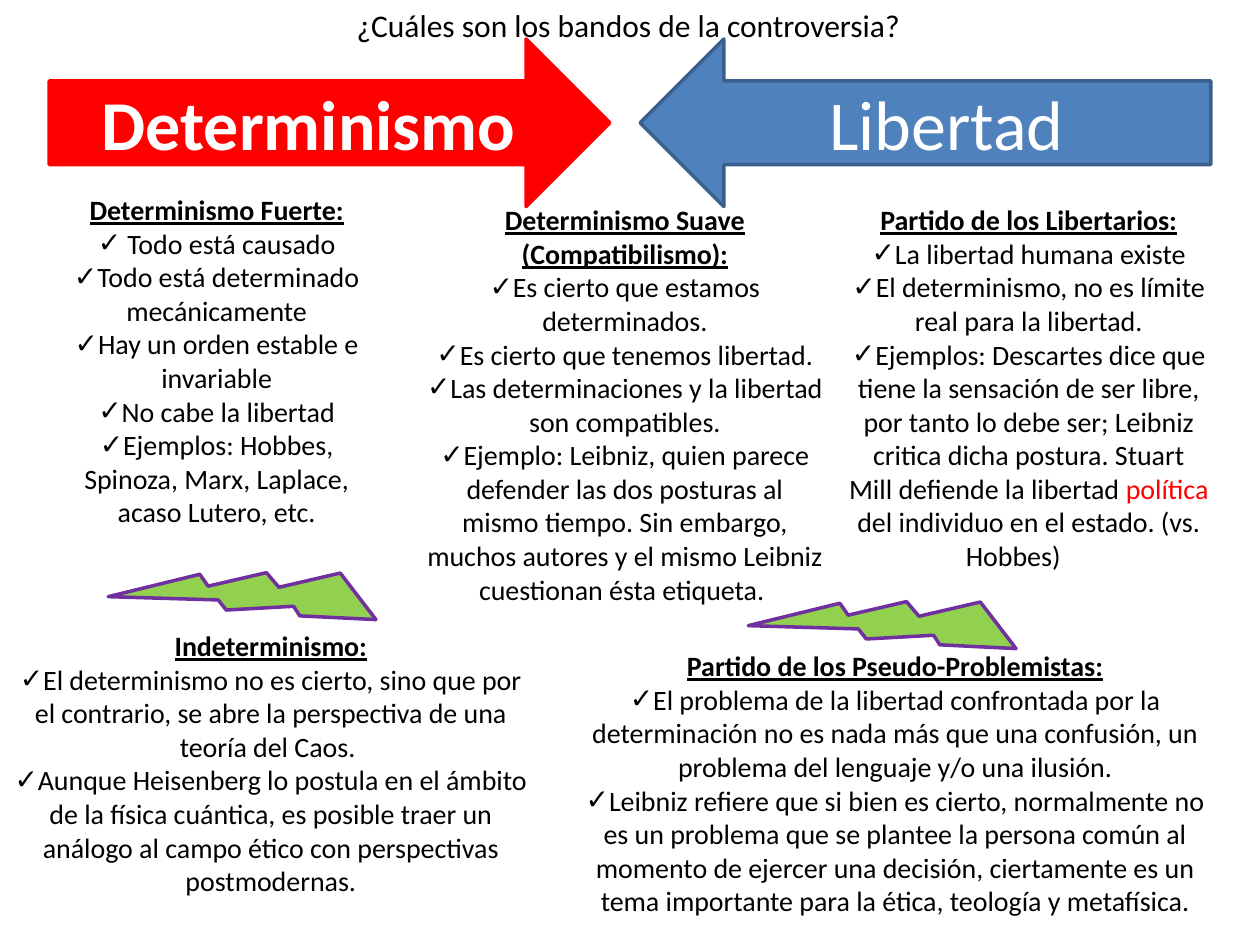
from lxml import etree
from pptx import Presentation
from pptx.dml.color import RGBColor
from pptx.enum.shapes import MSO_SHAPE
from pptx.enum.text import MSO_ANCHOR, MSO_AUTO_SIZE, PP_ALIGN
from pptx.oxml.ns import qn
from pptx.util import Inches, Pt

RIGHT_ARROW, LEFT_ARROW = MSO_SHAPE.RIGHT_ARROW, MSO_SHAPE.LEFT_ARROW
BOLT = MSO_SHAPE.LIGHTNING_BOLT
TOP, MIDDLE = MSO_ANCHOR.TOP, MSO_ANCHOR.MIDDLE
LEFT, CENTER = PP_ALIGN.LEFT, PP_ALIGN.CENTER
GROW = MSO_AUTO_SIZE.SHAPE_TO_FIT_TEXT

FONT = "Calibri"
COLORS = {
    "text": "000000",
    "white": "FFFFFF",
    "red": "FF0000",
    "blue": "4F81BD",
    "dark_blue": "3A5F8C",
    "green": "92D050",
    "purple": "7030A0",
}

# Text between bars is highlighted in red.
COLUMNS = [
    ((0.39, 1.48, 2.66, 2.79), ["Determinismo Fuerte:"], [
        " Todo está causado",
        "Todo está determinado mecánicamente",
        "Hay un orden estable e invariable",
        "No cabe la libertad",
        "Ejemplos: Hobbes, Spinoza, Marx, Laplace, acaso Lutero, etc.",
    ]),
    ((3.28, 1.56, 3.36, 3.33), ["Determinismo Suave", "(Compatibilismo):"], [
        "Es cierto que estamos determinados.",
        "Es cierto que tenemos libertad.",
        "Las determinaciones y la libertad son compatibles.",
        "Ejemplo: Leibniz, quien parece defender las dos posturas al mismo "
        "tiempo. Sin embargo, muchos autores y el mismo Leibniz cuestionan "
        "ésta etiqueta. ",
    ]),
    ((6.64, 1.56, 3.05, 3.06), ["Partido de los Libertarios:"], [
        "La libertad humana existe",
        "El determinismo, no es límite real para la libertad.",
        "Ejemplos: Descartes dice que tiene la sensación de ser libre, por "
        "tanto lo debe ser; Leibniz critica dicha postura. Stuart Mill "
        "defiende la libertad |política| del individuo en el estado. "
        "(vs. Hobbes)\t",
    ]),
]
ALTERNATIVES = [
    ((0, 4.94, 4.3, 2.56), (1.61, 3.65, 0.7, 2.09), ["Indeterminismo:"], [
        "El determinismo no es cierto, sino que por el contrario, se abre la "
        "perspectiva de una teoría del Caos. ",
        "Aunque Heisenberg lo postula en el ámbito de la física cuántica, es "
        "posible traer un análogo al campo ético con perspectivas "
        "postmodernas.",
    ]),
    ((4.45, 5.1, 5.31, 2.56), (6.69, 3.88, 0.7, 2.09),
     ["Partido de los Pseudo-Problemistas:"], [
        "El problema de la libertad confrontada por la determinación no es "
        "nada más que una confusión, un problema del lenguaje y/o una "
        "ilusión.",
        "Leibniz refiere que si bien es cierto, normalmente no es un problema "
        "que se plantee la persona común al momento de ejercer una decisión, "
        "ciertamente es un tema importante para la ética, teología y "
        "metafísica.",
    ]),
]


def color(name):
    return RGBColor.from_string(COLORS[name])


def inches(box):
    return [Inches(length) for length in box]


def format_run(run, size, color_name="text", bold=False, underline=False):
    run.font.name = FONT
    run.font.size = Pt(size)
    run.font.bold = bold
    run.font.underline = underline
    run.font.color.rgb = color(color_name)


def add_check_bullet(paragraph):
    properties = paragraph._p.get_or_add_pPr()
    properties.set("marL", "0")
    properties.set("indent", "0")
    etree.SubElement(properties, qn("a:buFont")).set("typeface", "Arial")
    etree.SubElement(properties, qn("a:buChar")).set("char", "✓")


def set_title(slide, box, text):
    title = slide.shapes.title
    title.left, title.top, title.width, title.height = inches(box)
    frame = title.text_frame
    frame.text = text
    frame.word_wrap = True
    frame.auto_size = GROW
    frame.vertical_anchor = TOP
    frame.paragraphs[0].alignment = LEFT
    format_run(frame.paragraphs[0].runs[0], 18)


def add_filled_shape(shapes, kind, box, fill, line):
    shape = shapes.add_shape(kind, *inches(box))
    shape.shadow.inherit = False
    shape.fill.solid()
    shape.fill.fore_color.rgb = color(fill)
    shape.line.color.rgb = color(line)
    shape.line.width = Pt(2)
    return shape


def add_side_arrow(shapes, kind, box, text, fill, line, bold=False):
    arrow = add_filled_shape(shapes, kind, box, fill, line)
    frame = arrow.text_frame
    frame.text = text
    frame.vertical_anchor = MIDDLE
    frame.paragraphs[0].alignment = CENTER
    format_run(frame.paragraphs[0].runs[0], 40, "white", bold)


def add_position(shapes, box, headings, points):
    """Add underlined heading lines followed by a checked list."""
    frame = shapes.add_textbox(*inches(box)).text_frame
    frame.word_wrap = True
    frame.auto_size = GROW
    for index, text in enumerate(headings + points):
        paragraph = frame.add_paragraph() if index else frame.paragraphs[0]
        paragraph.alignment = CENTER
        is_heading = index < len(headings)
        if not is_heading:
            add_check_bullet(paragraph)
        for part_index, part in enumerate(text.split("|")):
            run = paragraph.add_run()
            run.text = part
            color_name = "red" if part_index % 2 else "text"
            format_run(run, 16, color_name, is_heading, is_heading)


def add_alternative(shapes, text_box, bolt_box, headings, points):
    """Group a position with the lightning bolt above it."""
    group = shapes.add_group_shape()
    add_position(group.shapes, text_box, headings, points)
    bolt = add_filled_shape(group.shapes, BOLT, bolt_box, "green", "purple")
    bolt.rotation = 106.4


def main():
    presentation = Presentation()
    presentation.slide_width = Inches(10)
    presentation.slide_height = Inches(7.5)
    slide = presentation.slides.add_slide(presentation.slide_layouts[5])
    shapes = slide.shapes

    set_title(slide, (2.73, 0, 4.77, 0.4),
              "¿Cuáles son los bandos de la controversia?")
    add_side_arrow(shapes, RIGHT_ARROW, (0.39, 0.31, 4.45, 1.33),
                   "Determinismo", "red", "red", bold=True)
    add_side_arrow(shapes, LEFT_ARROW, (5.08, 0.31, 4.53, 1.33),
                   "Libertad", "blue", "dark_blue")
    for column in COLUMNS:
        add_position(shapes, *column)
    for alternative in ALTERNATIVES:
        add_alternative(shapes, *alternative)

    presentation.save("out.pptx")


if __name__ == "__main__":
    main()
